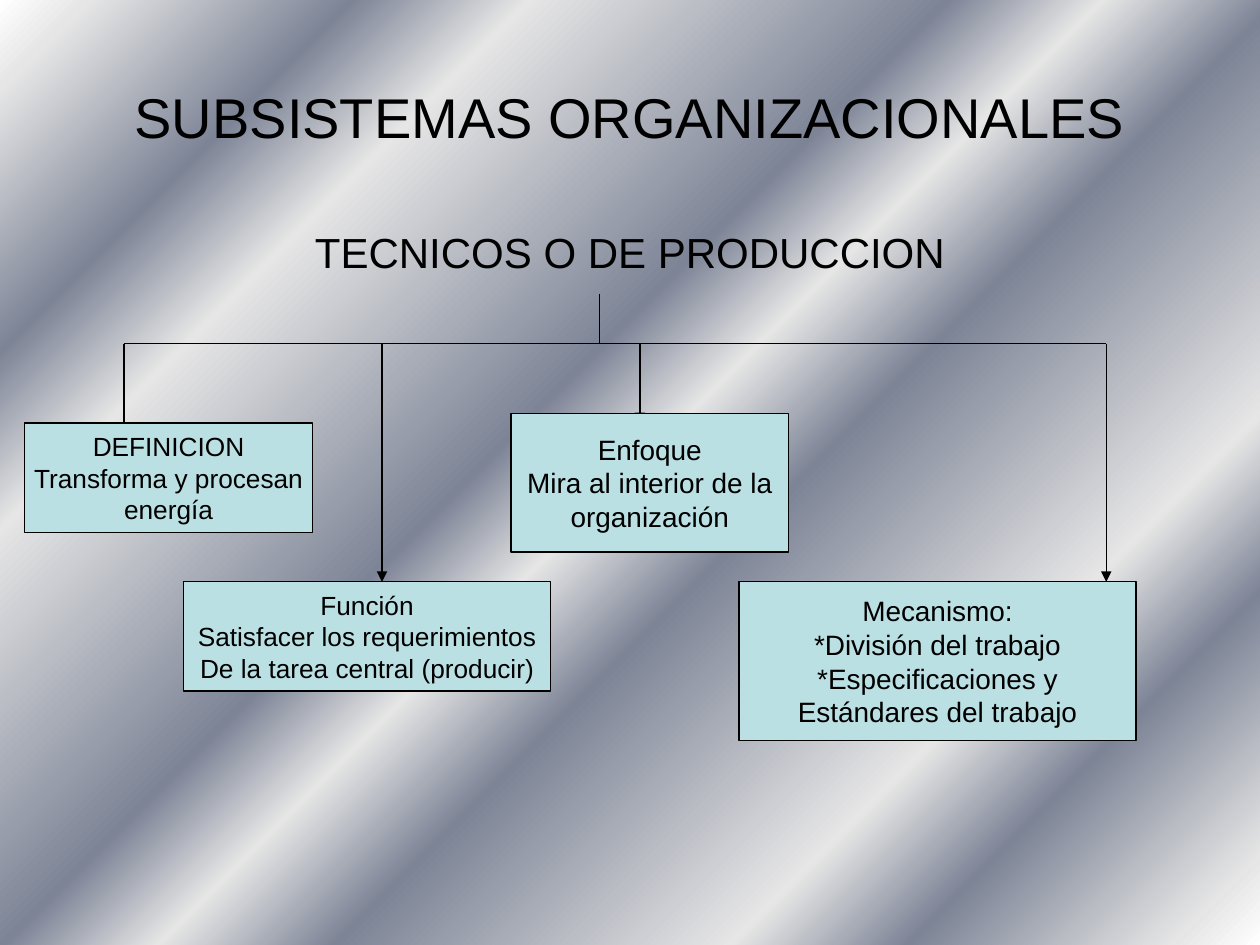
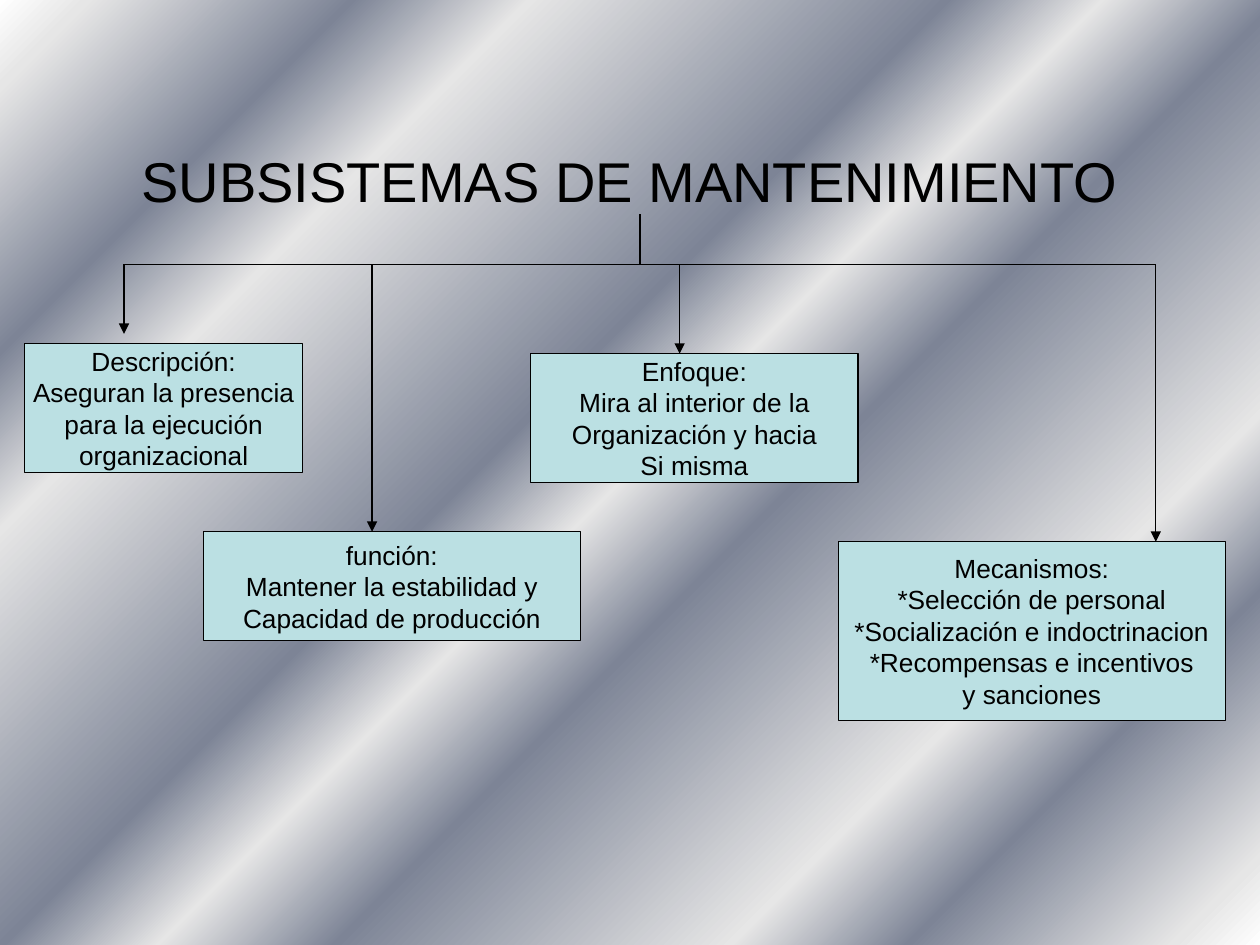
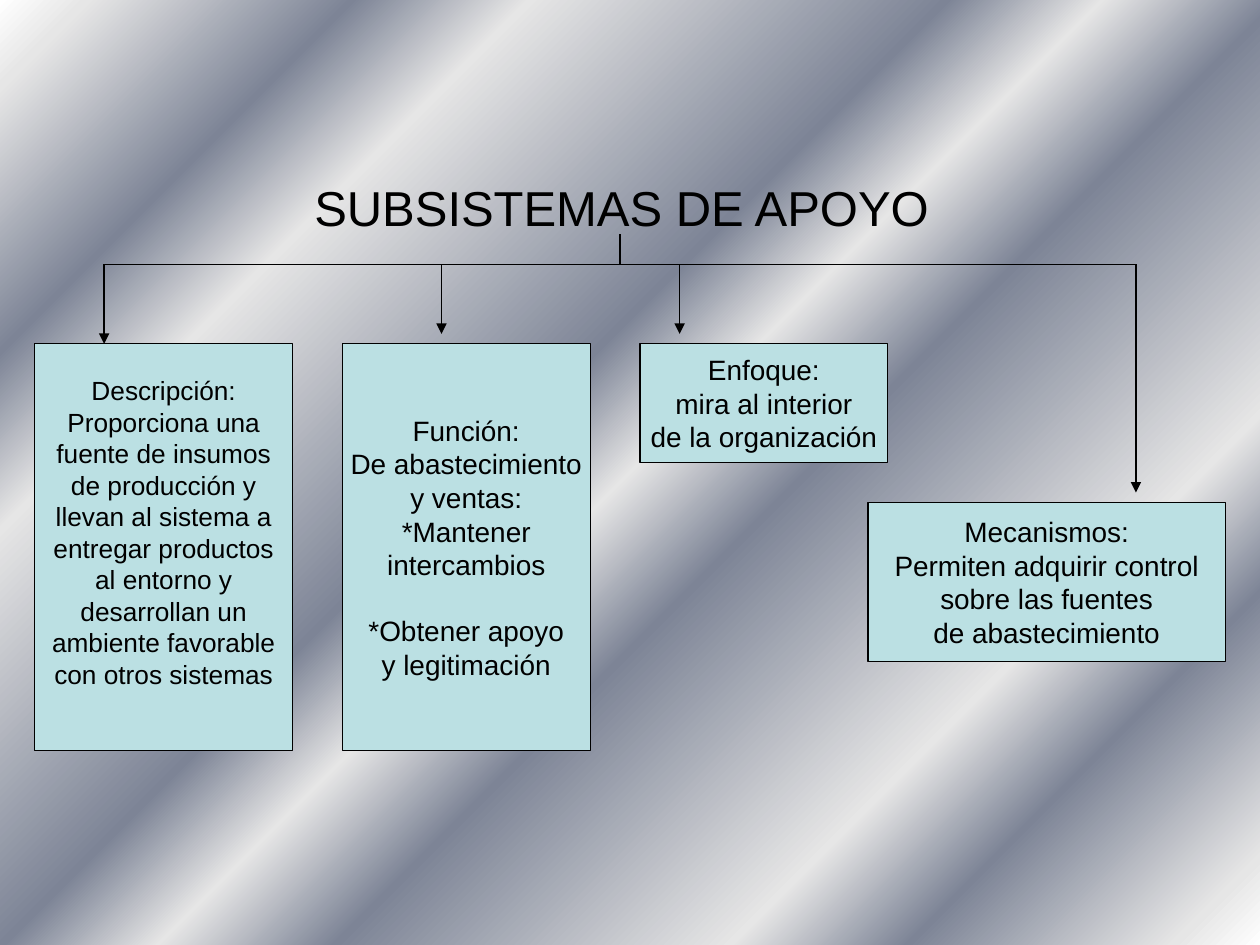
from dataclasses import dataclass

from lxml import etree
from pptx import Presentation
from pptx.dml.color import RGBColor
from pptx.enum.shapes import MSO_CONNECTOR, MSO_SHAPE
from pptx.enum.text import MSO_ANCHOR, PP_ALIGN
from pptx.oxml.ns import qn
from pptx.util import Cm, Pt

BLACK = RGBColor(0x00, 0x00, 0x00)
PALE_TEAL = RGBColor(0xBB, 0xE0, 0xE3)
WHITE = RGBColor(0xFF, 0xFF, 0xFF)
SILVER = RGBColor(0xE6, 0xE6, 0xE6)
STEEL = RGBColor(0x7D, 0x84, 0x96)

STRAIGHT = MSO_CONNECTOR.STRAIGHT
RECTANGLE = MSO_SHAPE.RECTANGLE
CENTER = PP_ALIGN.CENTER
TOP, MIDDLE, BOTTOM = MSO_ANCHOR.TOP, MSO_ANCHOR.MIDDLE, MSO_ANCHOR.BOTTOM

FONT = "Arial"
LINE_WIDTH = Pt(0.75)
BACKGROUND_STOPS = [
    (0, WHITE), (4, SILVER), (16, STEEL), (24, SILVER), (43, STEEL), (50, SILVER),
    (58, STEEL), (76, SILVER), (84, STEEL), (96, SILVER), (100, WHITE),
]


@dataclass
class Branch:
    """A box of the tree, with its drop line placed from the box's top left corner."""
    box: tuple
    drop_offset: float
    lines: list
    size: int = 15
    tip_gap: float = 0
    spaced_line: str = ""
    bottom_inset: float = 0.13


def set_background(master):
    """Fill the master with the diagonal metallic gradient."""
    fill = master.background.fill
    fill.gradient()
    gradient = next(master.element.iter(qn("a:gradFill")))
    for child in list(gradient):
        gradient.remove(child)
    stops = etree.SubElement(gradient, qn("a:gsLst"))
    for position, color in BACKGROUND_STOPS:
        stop = etree.SubElement(stops, qn("a:gs"), pos=str(position * 1000))
        etree.SubElement(stop, qn("a:srgbClr"), val=str(color))
    etree.SubElement(gradient, qn("a:lin"), ang=str(45 * 60000), scaled="1")


def write_lines(frame, lines, size, spaced_line=""):
    """Write centred paragraphs, with a one-line gap before the spaced line."""
    font_format = {"name": FONT, "size": Pt(size)}
    for index, line in enumerate(lines):
        para = frame.add_paragraph() if index else frame.paragraphs[0]
        para.alignment = CENTER
        if line == spaced_line:
            para.space_before = Pt(size * 1.15)
        span = para.add_run()
        span.text = line
        for name, value in font_format.items():
            setattr(span.font, name, value)
        span.font.color.rgb = BLACK


def add_heading(page, box, text, size, anchor):
    """Add a wide centred heading."""
    frame = page.shapes.add_textbox(*map(Cm, box)).text_frame
    for name, value in {"word_wrap": True, "vertical_anchor": anchor}.items():
        setattr(frame, name, value)
    write_lines(frame, [text], size)


def add_line(page, start, end, arrow=False):
    """Draw a thin black line, with an arrowhead at its end on request."""
    line = page.shapes.add_connector(STRAIGHT, *map(Cm, (*start, *end)))
    line.line.color.rgb = BLACK
    line.line.width = LINE_WIDTH
    if arrow:
        outline = line.line._get_or_add_ln()
        etree.SubElement(outline, qn("a:tailEnd"), type="triangle")
    etree.SubElement(line.element.spPr, qn("a:effectLst"))


def add_branch(page, branch, bar_top):
    """Draw a drop line from the bar and the text box below it."""
    left, top = branch.box[:2]
    drop = left + branch.drop_offset
    add_line(page, (drop, bar_top), (drop, top - branch.tip_gap), arrow=True)
    shape = page.shapes.add_shape(RECTANGLE, *map(Cm, branch.box))
    shape.shadow.inherit = False
    shape.fill.solid()
    shape.fill.fore_color.rgb = PALE_TEAL
    shape.line.color.rgb = BLACK
    shape.line.width = LINE_WIDTH
    frame_format = {
        "word_wrap": False,
        "vertical_anchor": MIDDLE,
        "margin_bottom": Cm(branch.bottom_inset),
    }
    for name, value in frame_format.items():
        setattr(shape.text_frame, name, value)
    write_lines(shape.text_frame, branch.lines, branch.size, branch.spaced_line)


def add_tree(page, stem, bar_top, branches):
    """Draw the stem, the bar spanning all drops, and the branches."""
    stem_left, stem_top = stem
    first, last = (item.box[0] + item.drop_offset for item in (branches[0], branches[-1]))
    add_line(page, (stem_left, stem_top), (stem_left, bar_top))
    add_line(page, (first, bar_top), (last, bar_top))
    for branch in branches:
        add_branch(page, branch, bar_top)


def build_production(page):
    """Build the slide on technical or production subsystems."""
    add_heading(page, (1.27, 0.76, 22.86, 3.18), "SUBSISTEMAS ORGANIZACIONALES", 32, MIDDLE)
    add_heading(page, (1.27, 4.45, 22.86, 12.57), "TECNICOS O DE PRODUCCION", 24, TOP)
    add_tree(page, (12.09, 5.92), 6.93, [
        Branch((0.5, 8.53, 5.8, 2.2), 2,
               ["DEFINICION", "Transforma y procesan", "energía"], tip_gap=-0.2),
        Branch((3.7, 11.73, 7.4, 2.2), 4,
               ["Función", "Satisfacer los requerimientos",
                "De la tarea central (producir)"]),
        Branch((10.3, 8.33, 5.6, 2.8), 2.6,
               ["Enfoque", "Mira al interior de la", "organización"],
               size=16, tip_gap=-0.2),
        Branch((14.9, 11.73, 8, 3.2), 7.4,
               ["Mecanismo:", "*División del trabajo", "*Especificaciones y",
                "Estándares del trabajo"], size=16),
    ])


def build_maintenance(page):
    """Build the slide on maintenance subsystems."""
    add_heading(page, (1.27, 0.76, 22.86, 3.67), "SUBSISTEMAS DE MANTENIMIENTO", 32, BOTTOM)
    add_tree(page, (12.9, 4.32), 5.33, [
        Branch((0.5, 6.93, 5.6, 2.6), 2,
               ["Descripción:", "Aseguran la presencia", "para la ejecución",
                "organizacional"], tip_gap=0.2),
        Branch((4.1, 10.72, 7.6, 2.2), 3.4,
               ["función:", "Mantener la estabilidad y", "Capacidad de producción"]),
        Branch((10.7, 7.13, 6.6, 2.6), 3,
               ["Enfoque:", "Mira al interior de la", "Organización y hacia",
                "Si misma"]),
        Branch((16.9, 10.92, 7.8, 3.6), 6.4,
               ["Mecanismos:", "*Selección de personal",
                "*Socialización e indoctrinacion", "*Recompensas e incentivos",
                "y sanciones"]),
    ])


def build_support(page):
    """Build the slide on support subsystems."""
    add_heading(page, (1.1, 2.31, 22.86, 2.57), "SUBSISTEMAS DE APOYO", 28, BOTTOM)
    add_tree(page, (12.5, 4.72), 5.33, [
        Branch((0.7, 6.93, 5.2, 8.2), 1.4,
               ["Descripción:", "Proporciona una", "fuente de insumos",
                "de producción y", "llevan al sistema a", "entregar productos",
                "al entorno y", "desarrollan un", "ambiente favorable",
                "con otros sistemas"], bottom_inset=0.73),
        Branch((6.9, 6.93, 5, 8.2), 2,
               ["Función:", "De abastecimiento", "y ventas:", "*Mantener",
                "intercambios", "*Obtener apoyo", "y legitimación"],
               size=16, tip_gap=0.2, spaced_line="*Obtener apoyo"),
        Branch((12.9, 6.93, 5, 2.4), 0.8,
               ["Enfoque:", "mira al interior", "de la organización"],
               size=16, tip_gap=0.2),
        Branch((17.5, 10.13, 7.2, 3.2), 5.4,
               ["Mecanismos:", "Permiten adquirir control", "sobre las fuentes",
                "de abastecimiento"], size=16, tip_gap=0.2),
    ])


def main():
    """Build the deck and save it."""
    deck = Presentation()
    deck.slide_width, deck.slide_height = Cm(25.4), Cm(19.05)
    set_background(deck.slide_master)
    for build in (build_production, build_maintenance, build_support):
        build(deck.slides.add_slide(deck.slide_layouts[6]))
    deck.save("out.pptx")


if __name__ == "__main__":
    main()
